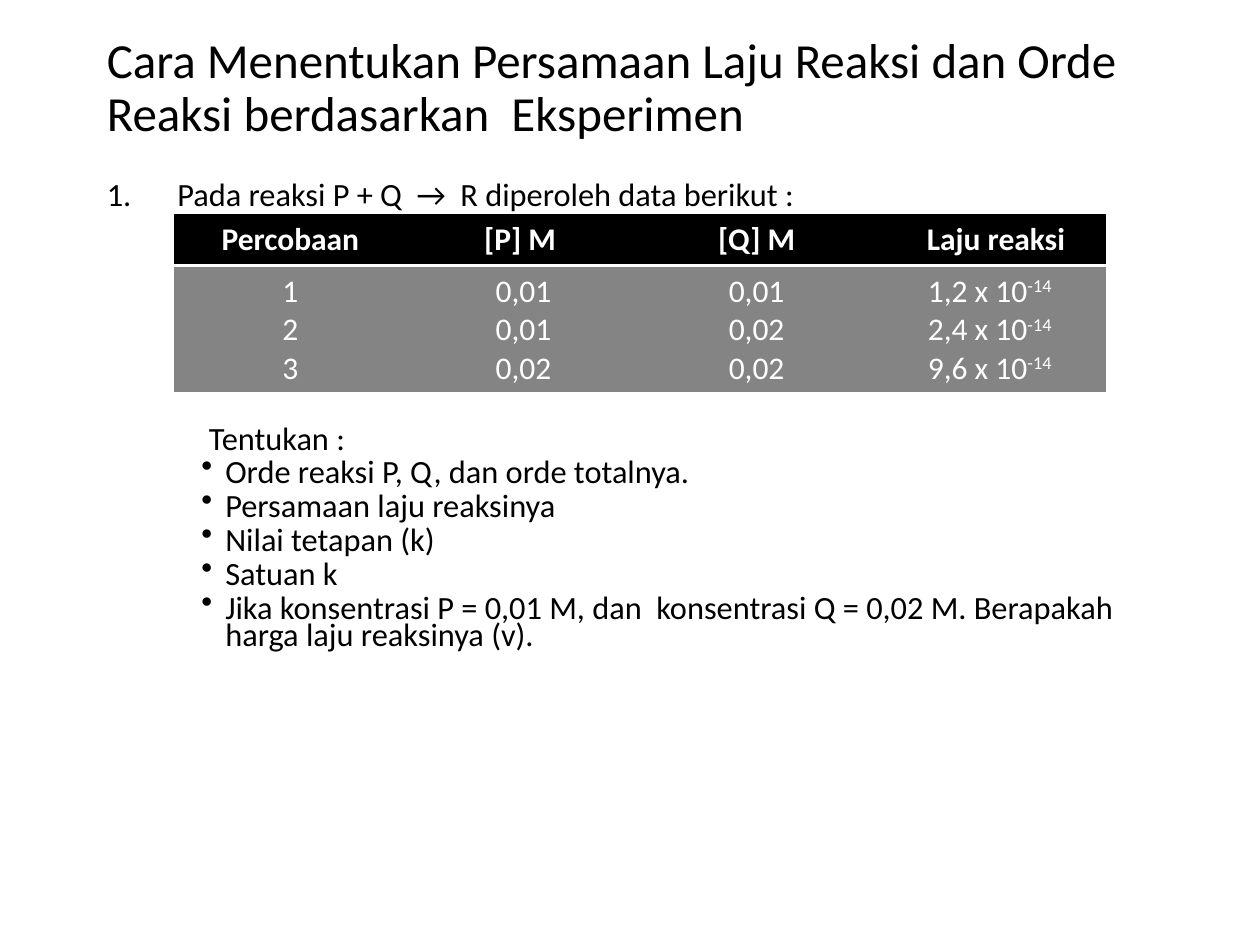
import pptx
import pptx.dml.color
import pptx.enum.text
import pptx.oxml
import pptx.oxml.ns
import pptx.util
from pptx.util import Inches

# Content
TITLE = "Cara Menentukan Persamaan Laju Reaksi dan Orde Reaksi berdasarkan  Eksperimen"
QUESTION = "Pada reaksi P + Q  →  R diperoleh data berikut :"
TASK_HEADING = "Tentukan :"
TASKS = [
    "Orde reaksi P, Q, dan orde totalnya.",
    "Persamaan laju reaksinya",
    "Nilai tetapan (k)",
    "Satuan k",
    "Jika konsentrasi P = 0,01 M, dan  konsentrasi Q = 0,02 M. Berapakah harga laju reaksinya (v).",
]
# Each column: heading, left margin of the heading, values as (base, exponent)
COLUMNS = [
    ("Percobaan", 0.1, [("1", ""), ("2", ""), ("3", "")]),
    ("[P] M ", 0.1, [("0,01", ""), ("0,01", ""), ("0,02", "")]),
    ("[Q] M", 0.1, [("0,01", ""), ("0,02", ""), ("0,02", "")]),
    ("Laju reaksi", 0.2, [("1,2 x 10", "-14"), ("2,4 x 10", "-14"), ("9,6 x 10", "-14")]),
]

# Format
COLORS = {"text": "000000", "header": "000000", "body": "848484", "light": "FFFFFF"}
FONT = "Calibri"
LEFT, WIDTH = 0.75, 8.5
TABLE_LEFT, TABLE_TOP, COLUMN_WIDTH = 1.38, 1.7, 1.85
ROW_HEIGHTS = (0.41, 1.0)
PLAIN_STYLE = "{2D5ABB26-0587-4C30-8999-92F81FD0307C}"
NAMESPACE = pptx.oxml.ns.nsdecls("a")
NUMBER = f'<a:buAutoNum {NAMESPACE} type="arabicPeriod"/>'
BULLET = f'<a:buChar {NAMESPACE} char="•"/>'
HEADER_LINE = (
    f'<a:lnB {NAMESPACE} w="25400"><a:solidFill>'
    f'<a:srgbClr val="{COLORS["light"]}"/></a:solidFill></a:lnB>'
)


def rgb(name):
    return pptx.dml.color.RGBColor.from_string(COLORS[name])


def add_run(paragraph, text, size, color="text", bold=False):
    run = paragraph.add_run()
    run.text = text
    values = {"name": FONT, "size": pptx.util.Pt(size), "bold": bold}
    for attribute, value in values.items():
        setattr(run.font, attribute, value)
    run.font.color.rgb = rgb(color)
    return run


def next_paragraph(frame, index):
    return frame.add_paragraph() if index else frame.paragraphs[0]


def add_text(slide, top, height, lines, size, line_spacing, anchor="TOP"):
    """Lines hold text, space before, left indent, first-line indent, bullet."""
    box = slide.shapes.add_textbox(Inches(LEFT), Inches(top), Inches(WIDTH), Inches(height))
    frame = box.text_frame
    frame.word_wrap = True
    frame.vertical_anchor = pptx.enum.text.MSO_ANCHOR[anchor]
    for index, (text, before, indent, first, bullet) in enumerate(lines):
        paragraph = next_paragraph(frame, index)
        paragraph.line_spacing = line_spacing
        paragraph.space_before = pptx.util.Pt(before)
        properties = paragraph._p.get_or_add_pPr()
        properties.set("marL", str(Inches(indent)))
        properties.set("indent", str(Inches(first)))
        if bullet:
            properties.append(pptx.oxml.parse_xml(bullet))
        add_run(paragraph, text, size)


def fill_cell(cell, values, fill, bold=False):
    cell.fill.solid()
    cell.fill.fore_color.rgb = rgb(fill)
    for index, (base, exponent) in enumerate(values):
        paragraph = next_paragraph(cell.text_frame, index)
        paragraph.alignment = pptx.enum.text.PP_ALIGN.CENTER
        add_run(paragraph, base, 18, "light", bold)
        if exponent:
            run = add_run(paragraph, exponent, 18, "light", bold)
            run._r.get_or_add_rPr().set("baseline", "30000")


def add_data_table(slide):
    table = slide.shapes.add_table(
        len(ROW_HEIGHTS), len(COLUMNS), Inches(TABLE_LEFT), Inches(TABLE_TOP),
        Inches(COLUMN_WIDTH * len(COLUMNS)), Inches(sum(ROW_HEIGHTS)),
    ).table
    table._tbl.tblPr.find(pptx.oxml.ns.qn("a:tableStyleId")).text = PLAIN_STYLE
    for row, height in zip(table.rows, ROW_HEIGHTS):
        row.height = Inches(height)
    for index, (heading, margin, values) in enumerate(COLUMNS):
        table.columns[index].width = Inches(COLUMN_WIDTH)
        header = table.cell(0, index)
        fill_cell(header, [(heading, "")], "header", bold=True)
        header.margin_left = Inches(margin)
        header._tc.get_or_add_tcPr().insert(0, pptx.oxml.parse_xml(HEADER_LINE))
        fill_cell(table.cell(1, index), values, "body")


def main():
    presentation = pptx.Presentation()
    presentation.slide_width, presentation.slide_height = Inches(10), Inches(7.5)
    slide = presentation.slides.add_slide(presentation.slide_layouts[6])

    # Title
    add_text(slide, 0.17, 1.08, [(TITLE, 0, 0, 0, None)], 28, 0.9, "MIDDLE")
    # Question and its data
    add_text(slide, 1.42, 0.3, [(QUESTION, 0, 0.56, -0.56, NUMBER)], 18.5, 0.7)
    add_data_table(slide)
    # Tasks
    tasks = [(TASK_HEADING, 0, 0.81, 0, None)]
    tasks += [(task, 3.8, 0.94, -0.19, BULLET) for task in TASKS]
    add_text(slide, 3.35, 1.95, tasks, 18.5, 0.7)

    presentation.save("out.pptx")


if __name__ == "__main__":
    main()
